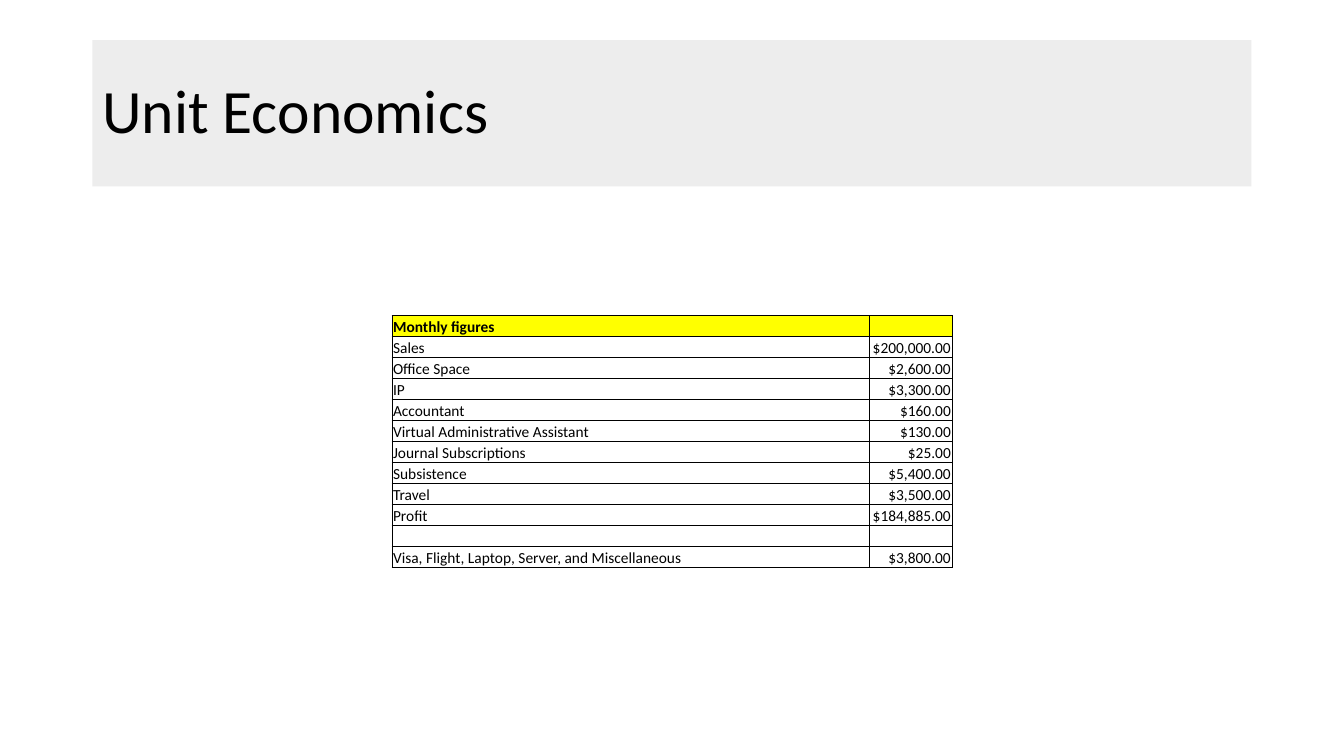
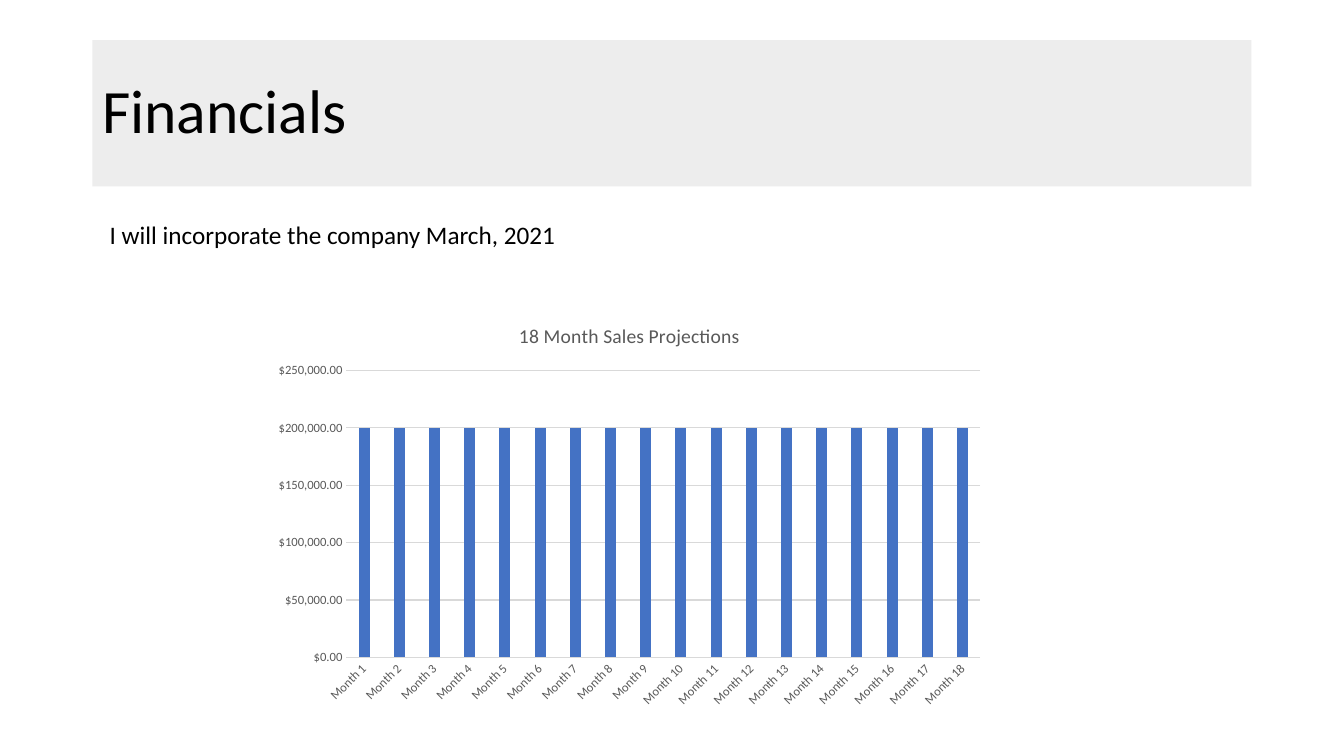
from lxml import etree
from pptx import Presentation
from pptx.chart.data import CategoryChartData
from pptx.dml.color import RGBColor
from pptx.enum import chart as charts, shapes, text
from pptx.oxml import parse_xml
from pptx.oxml.ns import nsdecls
from pptx.util import Pt

BLACK = RGBColor(0x00, 0x00, 0x00)
BAND_GREY = RGBColor(0xED, 0xED, 0xED)
HEADER_YELLOW = RGBColor(0xFF, 0xFF, 0x00)
CHART_TEXT = RGBColor(0x59, 0x59, 0x59)
CHART_LINE = RGBColor(0xD9, 0xD9, 0xD9)
BAR_BLUE = RGBColor(0x44, 0x72, 0xC4)

MONTHLY_FIGURES = [
    ("Monthly figures", ""),
    ("Sales", "$200,000.00"),
    ("Office Space", "$2,600.00"),
    ("IP", "$3,300.00"),
    ("Accountant", "$160.00"),
    ("Virtual Administrative Assistant", "$130.00"),
    ("Journal Subscriptions", "$25.00"),
    ("Subsistence", "$5,400.00"),
    ("Travel", "$3,500.00"),
    ("Profit", "$184,885.00"),
    ("", ""),
    ("Visa, Flight, Laptop, Server, and Miscellaneous", "$3,800.00"),
]
MONTHLY_SALES = {f"Month {month}": 200000 for month in range(1, 19)}


class Deck:
    FONT = "Calibri"
    TITLE_SIZE = 44
    BODY_SIZE = 18
    TABLE_SIZE = 11
    CHART_TITLE_SIZE = 14
    AXIS_SIZE = 9
    LINE_WIDTH = 0.75
    BORDER_WIDTH = 0.5

    def __init__(self):
        self.presentation = Presentation()
        self.presentation.slide_width = Pt(960)
        self.presentation.slide_height = Pt(540)
        self.slide = None

    def style(self, font, size, color=BLACK, bold=False):
        font.name = self.FONT
        font.size = Pt(size)
        font.color.rgb = color
        font.bold = bold

    def add_slide(self, title):
        """Start a blank slide with the grey title band."""
        self.slide = self.presentation.slides.add_slide(
            self.presentation.slide_layouts[6])
        band = self.slide.shapes.add_shape(
            shapes.MSO_SHAPE.RECTANGLE, Pt(66), Pt(28.75), Pt(828), Pt(104.4))
        band.shadow.inherit = False
        band.fill.solid()
        band.fill.fore_color.rgb = BAND_GREY
        band.line.fill.background()
        band.text_frame.word_wrap = True
        band.text_frame.vertical_anchor = text.MSO_ANCHOR.MIDDLE
        heading = band.text_frame.paragraphs[0]
        heading.text = title
        heading.alignment = text.PP_ALIGN.LEFT
        heading.line_spacing = 0.9
        self.style(heading.font, self.TITLE_SIZE)

    def add_note(self, wording, left, top, width, height):
        note = self.slide.shapes.add_textbox(
            Pt(left), Pt(top), Pt(width), Pt(height))
        note.text_frame.word_wrap = False
        sentence = note.text_frame.paragraphs[0]
        sentence.text = wording
        self.style(sentence.font, self.BODY_SIZE)

    def add_ledger(self, rows, left, top, widths, row_height):
        """Add a bordered table of labels and amounts with a yellow header."""
        ledger = self.slide.shapes.add_table(
            len(rows), len(widths), Pt(left), Pt(top),
            Pt(sum(widths)), Pt(row_height * len(rows))).table
        ledger.first_row = ledger.horz_banding = False
        for column, width in zip(ledger.columns, widths):
            column.width = Pt(width)
        for r, entries in enumerate(rows):
            ledger.rows[r].height = Pt(row_height)
            for c, entry in enumerate(entries):
                self.fill_cell(ledger.cell(r, c), entry,
                               is_header=r == 0, is_amount=c > 0)

    def fill_cell(self, cell, entry, is_header, is_amount):
        cell.margin_left = cell.margin_right = cell.margin_top = Pt(0.75)
        cell.margin_bottom = 0
        cell.vertical_anchor = text.MSO_ANCHOR.BOTTOM
        if is_header:
            cell.fill.solid()
            cell.fill.fore_color.rgb = HEADER_YELLOW
        else:
            cell.fill.background()
        line = cell.text_frame.paragraphs[0]
        line.text = entry
        line.alignment = text.PP_ALIGN.RIGHT if is_amount else text.PP_ALIGN.LEFT
        self.style(line.font, self.TABLE_SIZE, bold=is_header)
        if not entry:
            # Keeps the height of an empty row from growing.
            end = etree.SubElement(line._p, line._p.tag + "_end")
            end.tag = line._p.tag.replace("}p", "}endParaRPr")
            end.set("sz", str(self.TABLE_SIZE * 100))
        self.border_cell(cell)

    def border_cell(self, cell):
        properties = cell._tc.get_or_add_tcPr()
        for position, side in enumerate("LRTB"):
            properties.insert(position, parse_xml(
                f'<a:ln{side} {nsdecls("a")} w="{Pt(self.BORDER_WIDTH)}">'
                f'<a:solidFill><a:srgbClr val="{BLACK}"/></a:solidFill>'
                f'</a:ln{side}>'))

    def add_columns(self, title, values, left, top, width, height):
        """Add a column chart of one series, given as category: value."""
        data = CategoryChartData()
        data.categories = list(values)
        data.add_series("Series 1", list(values.values()))
        chart = self.slide.shapes.add_chart(
            charts.XL_CHART_TYPE.COLUMN_CLUSTERED,
            Pt(left), Pt(top), Pt(width), Pt(height), data).chart
        self.style(chart.font, 10)
        chart.has_legend = False
        chart.has_title = True
        heading = chart.chart_title.text_frame.paragraphs[0]
        heading.text = title
        self.style(heading.font, self.CHART_TITLE_SIZE, CHART_TEXT)

        plot = chart.plots[0]
        plot.vary_by_categories = False
        plot.gap_width = 219
        plot.overlap = -27
        bars = plot.series[0].format.fill
        bars.solid()
        bars.fore_color.rgb = BAR_BLUE

        months, dollars = chart.category_axis, chart.value_axis
        for axis in (months, dollars):
            axis.major_tick_mark = charts.XL_TICK_MARK.NONE
            axis.minor_tick_mark = charts.XL_TICK_MARK.NONE
            self.style(axis.tick_labels.font, self.AXIS_SIZE, CHART_TEXT)
        months._element.txPr.bodyPr.set("rot", str(-45 * 60000))
        dollars.minimum_scale = 0
        dollars.maximum_scale = 250000
        dollars.major_unit = 50000
        dollars.tick_labels.number_format = '"$"#,##0.00'
        dollars.tick_labels.number_format_is_linked = False
        dollars.format.line.fill.background()
        dollars.has_major_gridlines = True
        for line in (months.format.line, dollars.major_gridlines.format.line):
            line.color.rgb = CHART_LINE
            line.width = Pt(self.LINE_WIDTH)


def main():
    deck = Deck()

    deck.add_slide("Unit Economics")
    deck.add_ledger(MONTHLY_FIGURES, left=280, top=225.5,
                    widths=(341, 59), row_height=15)

    deck.add_slide("Financials")
    deck.add_columns("18 Month Sales Projections", MONTHLY_SALES,
                     left=188.6, top=218.2, width=522, height=293)
    deck.add_note("I will incorporate the company March, 2021",
                  left=71.3, top=153.4, width=336, height=29)

    deck.presentation.save("out.pptx")


if __name__ == "__main__":
    main()
